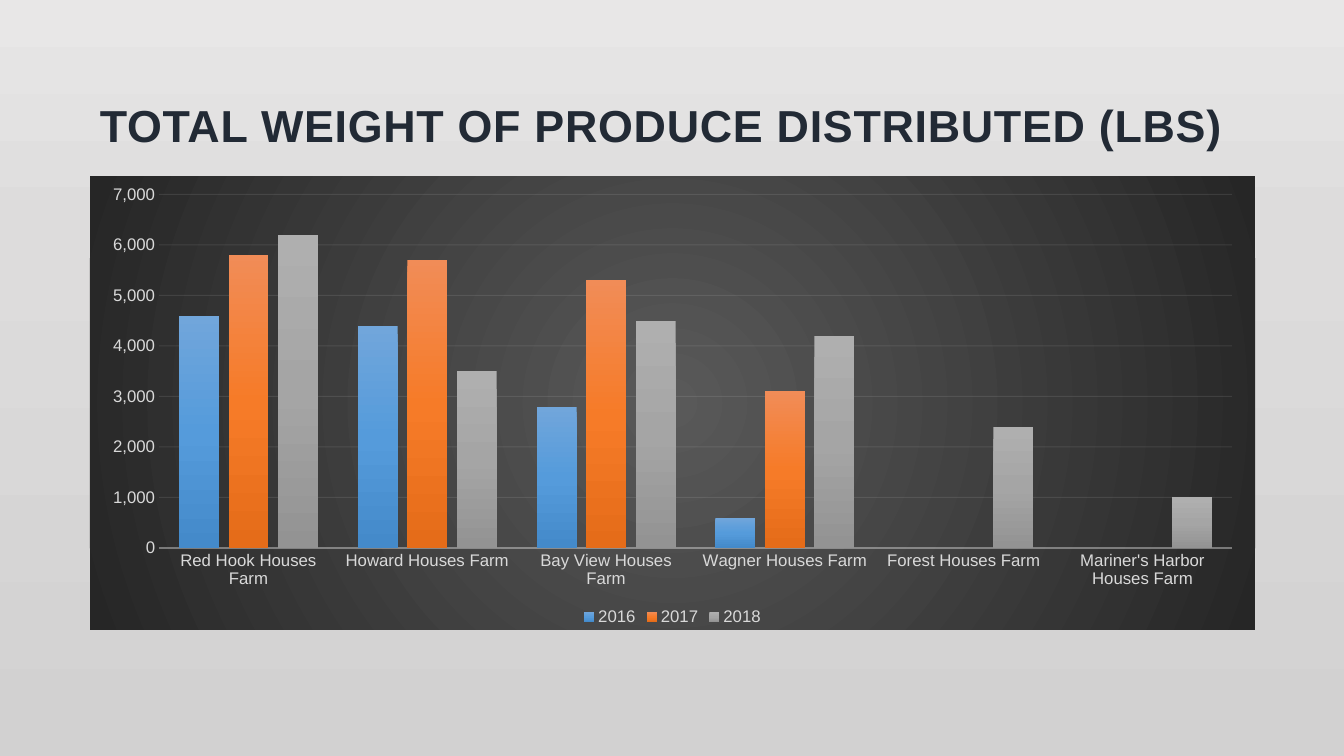
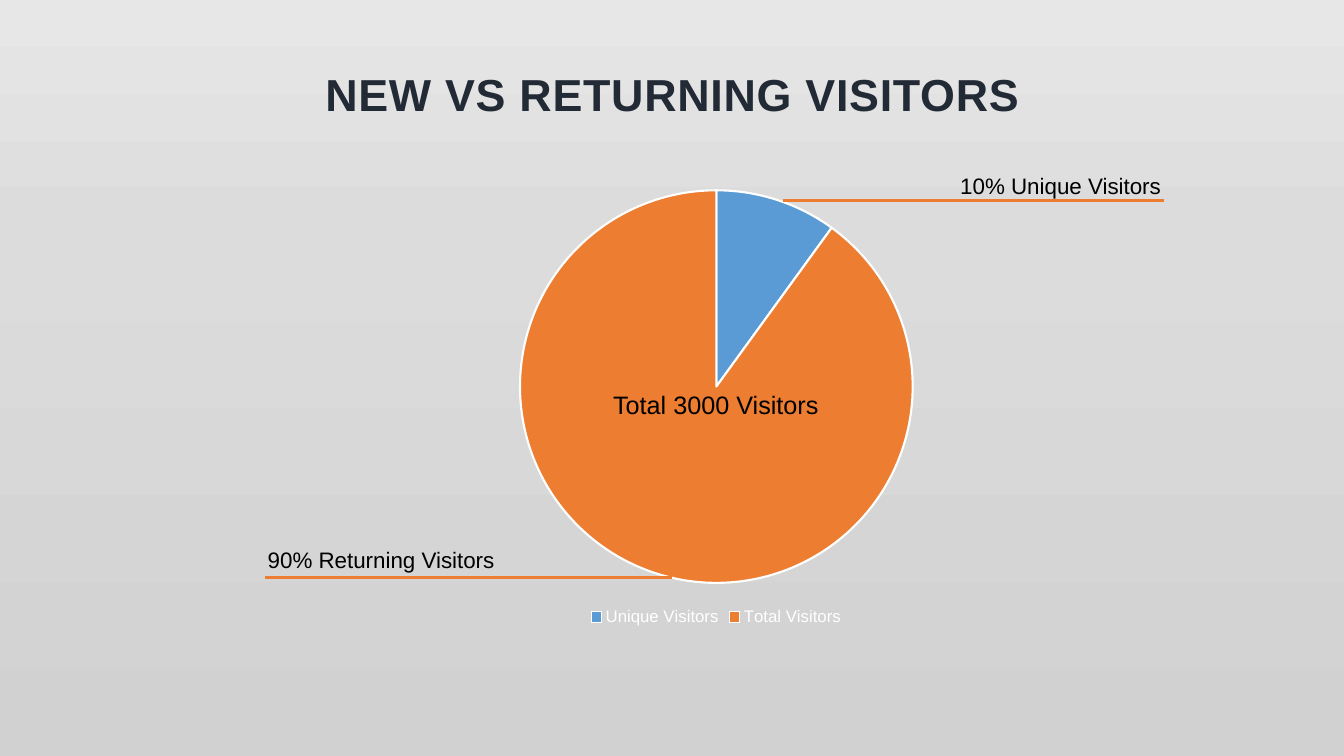
from dataclasses import dataclass

from pptx import Presentation
from pptx import util as u
from pptx.chart.data import CategoryChartData
from pptx.dml.color import RGBColor
from pptx.enum import chart as ch, shapes, text
from pptx.oxml import parse_xml
from pptx.oxml.ns import nsdecls, qn

PX = 9144  # EMU in one px, 100 px to the inch


@dataclass(frozen=True)
class Theme:
    font: str = "Arial"
    title: str = "222A35"
    ink: str = "000000"
    white: str = "FFFFFF"
    soft: str = "D9D9D9"
    rule: str = "F2F2F2"
    blue: str = "5B9BD5"
    orange: str = "ED7D31"
    backdrop: tuple = ((0, "E8E7E7"), (31, "DDDCDC"), (100, "D2D1D1"))
    panel: tuple = ((0, "595959"), (100, "262626"))
    bars: tuple = (
        ((0, "71A6DB"), (50, "559BDB"), (100, "448ACA")),
        ((0, "F18C57"), (50, "F67B28"), (100, "E56C19")),
        ((0, "AFAFAF"), (50, "A5A5A5"), (100, "939393")),
    )
    title_size: int = 32
    total_size: int = 18
    label_size: int = 16
    chart_size: int = 12


T = Theme()


# Shared helpers
def emu(*px):
    return [u.Emu(v * PX) for v in px]


def set_font(font, size, color, bold=False):
    font.name, font.size, font.bold = T.font, u.Pt(size), bold
    font.color.rgb = RGBColor.from_string(color)


def set_line(line, color, width):
    line.color.rgb = RGBColor.from_string(color)
    line.width = u.Pt(width)


def gradient(stops, radial=False):
    marks = "".join(
        f'<a:gs pos="{pos * 1000}"><a:srgbClr val="{color}"/></a:gs>'
        for pos, color in stops)
    course = '<a:lin ang="5400000" scaled="0"/>'
    if radial:
        course = ('<a:path path="circle"><a:fillToRect l="50000" t="50000" '
                  'r="50000" b="50000"/></a:path>')
    return parse_xml(f'<a:gradFill {nsdecls("a")} rotWithShape="1">'
                     f'<a:gsLst>{marks}</a:gsLst>{course}</a:gradFill>')


def swap_fill(owner, fill):
    solid = next(owner.iter(qn("a:solidFill")))
    solid.getparent().replace(solid, fill)


def set_alpha(colors, percent):
    for color in colors:
        color.append(parse_xml(
            f'<a:alpha {nsdecls("a")} val="{percent * 1000}"/>'))


def set_backdrop(master):
    master.background.fill.solid()
    swap_fill(master.element, gradient(T.backdrop))


def add_title(s, box, words, align):
    sp = s.shapes.title
    sp.left, sp.top, sp.width, sp.height = emu(*box)
    tf = sp.text_frame
    tf.auto_size = text.MSO_AUTO_SIZE.NONE
    tf.vertical_anchor = text.MSO_ANCHOR.BOTTOM
    p = tf.paragraphs[0]
    p.alignment = align
    r = p.add_run()
    r.text = words
    set_font(r.font, T.title_size, T.title, bold=True)
    r.font._element.set("spc", "50")


def add_label(s, box, words, size):
    tf = s.shapes.add_textbox(*emu(*box)).text_frame
    tf.word_wrap = True
    tf.auto_size = text.MSO_AUTO_SIZE.SHAPE_TO_FIT_TEXT
    tf.vertical_anchor = text.MSO_ANCHOR.MIDDLE
    p = tf.paragraphs[0]
    p.alignment = text.PP_ALIGN.CENTER
    r = p.add_run()
    r.text = words
    set_font(r.font, size, T.ink)


def add_leader(s, x1, x2, y):
    line = s.shapes.add_connector(
        shapes.MSO_CONNECTOR.STRAIGHT, *emu(x1, y, x2, y))
    set_line(line.line, T.orange, 2)
    line._element.spPr.append(parse_xml(f'<a:effectLst {nsdecls("a")}/>'))


def add_chart(s, box, kind, cats, series, legend_color, fill):
    data = CategoryChartData(number_format="#,##0")
    data.categories = cats
    for name, vals in series:
        data.add_series(name, vals)
    chart = s.shapes.add_chart(kind, *emu(*box), data).chart
    chart.has_title = False
    set_font(chart.font, 10, T.ink)
    chart.has_legend = True
    chart.legend.position = ch.XL_LEGEND_POSITION.BOTTOM
    chart.legend.include_in_layout = False
    set_font(chart.legend.font, T.chart_size, legend_color)
    # Chart area: given fill, no outline
    area = parse_xml(f'<c:spPr {nsdecls("c", "a")}>'
                     '<a:ln><a:noFill/></a:ln></c:spPr>')
    area.insert(0, fill)
    chart.element.find(qn("c:chart")).addnext(area)
    return chart


# Column chart on a dark panel
def column_panel(s, box):
    cats = [f"{place} Houses Farm" for place in (
        "Red Hook", "Howard", "Bay View", "Wagner", "Forest",
        "Mariner's Harbor")]
    series = (
        ("2016", (4600, 4400, 2800, 600, None, None)),
        ("2017", (5800, 5700, 5300, 3100, None, None)),
        ("2018", (6200, 3500, 4500, 4200, 2400, 1000)),
    )
    chart = add_chart(s, box, ch.XL_CHART_TYPE.COLUMN_CLUSTERED, cats, series,
                      T.soft, gradient(T.panel, radial=True))
    plot = chart.plots[0]
    plot.gap_width, plot.overlap, plot.vary_by_categories = 100, -24, False
    for ser, node, stops in zip(
            plot.series, chart.element.iter(qn("c:ser")), T.bars):
        ser.format.fill.solid()
        ser.format.fill.fore_color.rgb = RGBColor.from_string(stops[1][1])
        swap_fill(node, gradient(stops))

    # Axes and gridlines
    cat, val = chart.category_axis, chart.value_axis
    for axis in (cat, val):
        axis.major_tick_mark = axis.minor_tick_mark = ch.XL_TICK_MARK.NONE
        set_font(axis.tick_labels.font, T.chart_size, T.soft)
    val.minimum_scale, val.maximum_scale, val.major_unit = 0, 7000, 1000
    val.tick_labels.number_format = "#,##0"
    val.tick_labels.number_format_is_linked = False
    val.format.line.fill.background()
    set_line(cat.format.line, T.rule, 1)
    set_line(val.major_gridlines.format.line, T.rule, 0.75)
    set_alpha(chart.element.xpath(".//c:catAx/c:spPr//a:srgbClr"), 54)
    set_alpha(chart.element.xpath(".//c:majorGridlines//a:srgbClr"), 10)


# Pie chart with leader lines and labels
def pie_panel(s, box):
    chart = add_chart(s, box, ch.XL_CHART_TYPE.PIE,
                      ("Unique Visitors", "Total Visitors"),
                      (("Series 1", (10, 90)),), T.white,
                      parse_xml(f'<a:noFill {nsdecls("a")}/>'))
    for i, color in enumerate((T.blue, T.orange)):
        fmt = chart.plots[0].series[0].points[i].format
        fmt.fill.solid()
        fmt.fill.fore_color.rgb = RGBColor.from_string(color)
        set_line(fmt.line, T.white, 1.5)

    x, y = box[:2]
    for dx, dy, w, h, words, size in (
            (-218, 362, 288, 37, "90% Returning Visitors", T.label_size),
            (482, -9, 236, 37, "10% Unique Visitors", T.label_size),
            (130, 206, 256, 40, "Total 3000 Visitors", T.total_size)):
        add_label(s, (x + dx, y + dy, w, h), words, size)
    for start, end, dy in ((325, 702, 24), (215, -189, 398)):
        add_leader(s, x + start, x + end, y + dy)


def main():
    prs = Presentation()
    prs.slide_width, prs.slide_height = emu(1333, 750)
    set_backdrop(prs.slide_master)
    pages = (
        ("TOTAL WEIGHT OF PRODUCE DISTRIBUTED (LBS)", 125,
         text.PP_ALIGN.LEFT, column_panel, (89, 175, 1156, 450)),
        ("NEW VS RETURNING VISITORS", 95,
         text.PP_ALIGN.CENTER, pie_panel, (452, 175, 517, 450)),
    )
    for words, height, align, panel, box in pages:
        s = prs.slides.add_slide(prs.slide_layouts.get_by_name("Title Only"))
        add_title(s, (89, 30, 1156, height), words, align)
        panel(s, box)
    prs.save("out.pptx")


if __name__ == "__main__":
    main()
